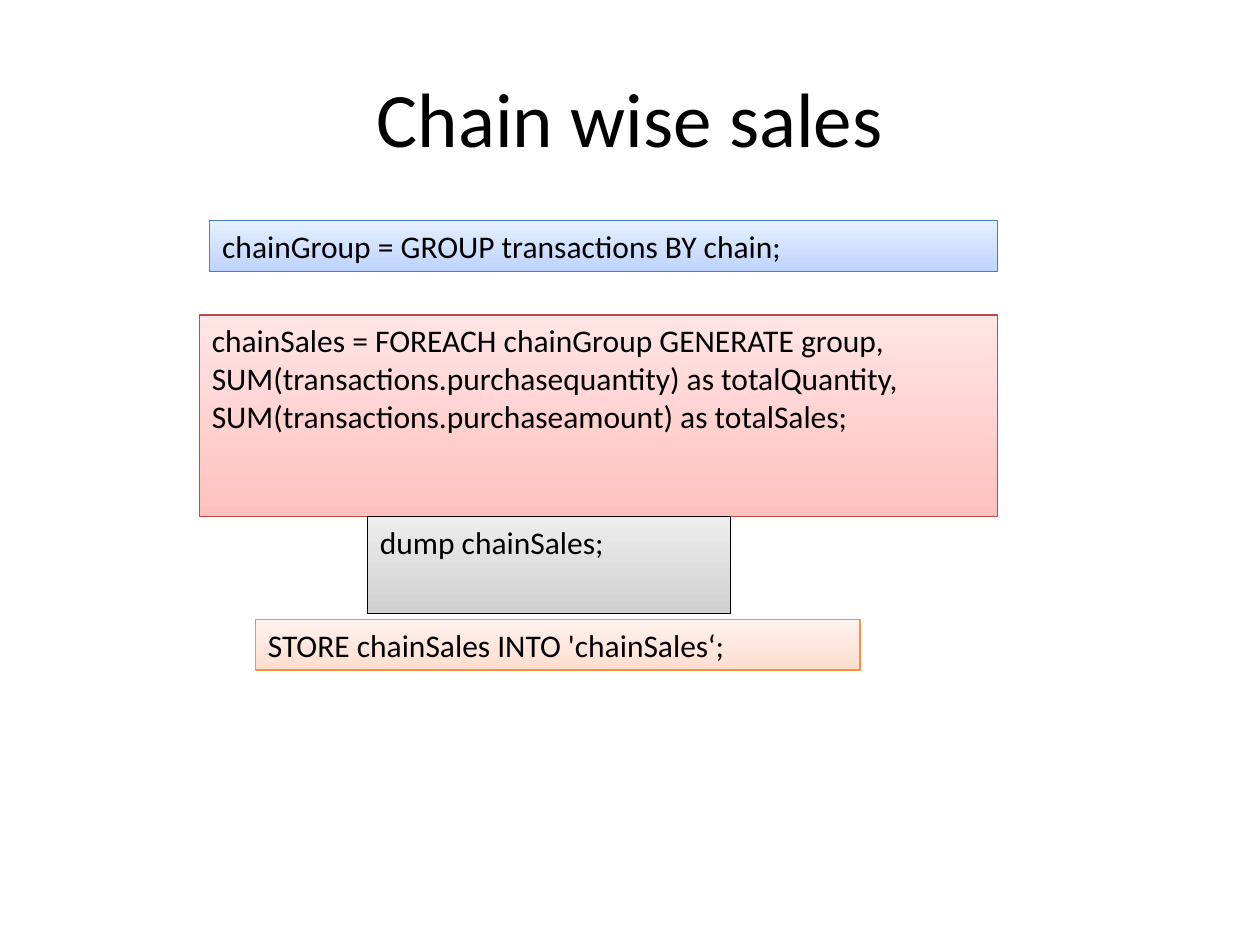
from dataclasses import dataclass

from pptx import Presentation
from pptx.dml.color import RGBColor
from pptx.enum.shapes import MSO_SHAPE
from pptx.enum.text import MSO_ANCHOR, PP_ALIGN
from pptx.util import Cm, Pt

RECTANGLE = MSO_SHAPE.RECTANGLE
TOP, MIDDLE = MSO_ANCHOR.TOP, MSO_ANCHOR.MIDDLE
LEFT, CENTER = PP_ALIGN.LEFT, PP_ALIGN.CENTER


@dataclass(frozen=True)
class Theme:
    font: str = "Calibri"
    text: str = "000000"
    title_size: float = 44
    code_size: float = 18
    line_width: float = 0.75


THEME = Theme()

# Box palettes: bottom colour, top colour, outline
BLUE = ("BFD4FE", "E5EFFF", "4A7EBB")
RED = ("FFC1BE", "FFE5E5", "BE4B48")
GREY = ("D0D0D0", "EDEDED", "000000")
ORANGE = ("FFDED0", "FFF1EC", "F59240")

TITLE = ("Chain wise sales", (1.27, 0.76, 22.86, 3.18))

# Statement, (left, top, width, height) in cm, palette
STATEMENTS = [
    ("chainGroup = GROUP transactions BY chain;",
     (4.23, 4.45, 15.88, 1.02), BLUE),
    ("chainSales = FOREACH chainGroup GENERATE group, "
     "SUM(transactions.purchasequantity) as totalQuantity, "
     "SUM(transactions.purchaseamount) as totalSales;",
     (4.02, 6.35, 16.09, 4.06), RED),
    ("dump chainSales;", (7.41, 10.41, 7.32, 1.96), GREY),
    ("STORE chainSales INTO 'chainSales‘;",
     (5.15, 12.49, 12.19, 1.02), ORANGE),
]


def rgb(value):
    return RGBColor.from_string(value)


def write(s, text, size, align, anchor):
    tf = s.text_frame
    tf.text = text
    tf.word_wrap = True
    tf.vertical_anchor = anchor
    p = tf.paragraphs[0]
    p.alignment = align
    font = p.runs[0].font
    font.name = THEME.font
    font.size = Pt(size)
    font.color.rgb = rgb(THEME.text)


def add_title(slide, text, box):
    s = slide.shapes.add_textbox(*map(Cm, box))
    write(s, text, THEME.title_size, CENTER, MIDDLE)


def add_statement(slide, text, box, palette):
    *gradient, outline = palette
    s = slide.shapes.add_shape(RECTANGLE, *map(Cm, box))
    s.shadow.inherit = False
    s.fill.gradient()
    s.fill.gradient_angle = 90
    for stop, color in zip(s.fill.gradient_stops, gradient):
        stop.color.rgb = rgb(color)
    s.line.color.rgb = rgb(outline)
    s.line.width = Pt(THEME.line_width)
    write(s, text, THEME.code_size, LEFT, TOP)


def main():
    prs = Presentation()
    prs.slide_width, prs.slide_height = Cm(25.4), Cm(19.05)
    slide = prs.slides.add_slide(prs.slide_layouts[6])
    add_title(slide, *TITLE)
    for statement in STATEMENTS:
        add_statement(slide, *statement)
    prs.save("out.pptx")


if __name__ == "__main__":
    main()
